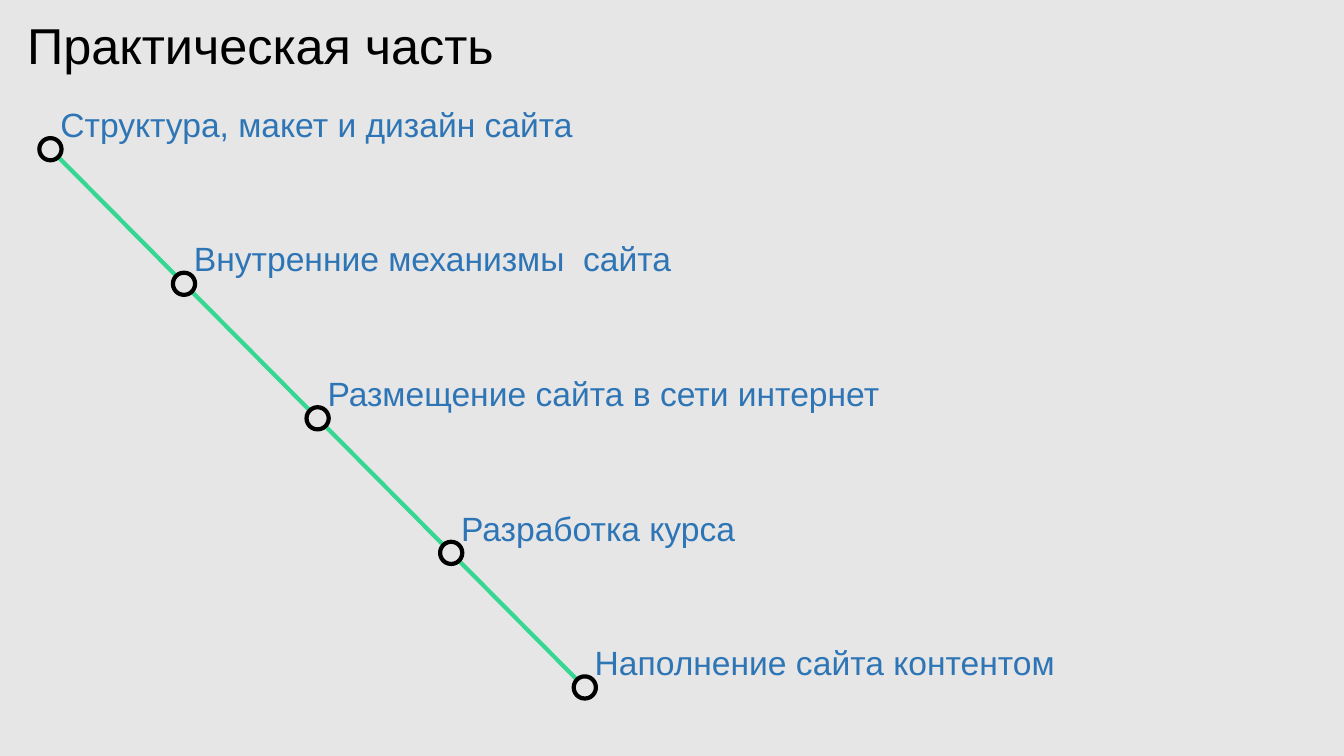
from dataclasses import dataclass

from lxml import etree
from pptx import Presentation
from pptx.dml.color import RGBColor
from pptx.enum import shapes, text
from pptx.oxml import ns
from pptx.util import Inches, Pt


@dataclass(frozen=True)
class Theme:
    background: RGBColor = RGBColor(0xE7, 0xE6, 0xE6)
    ink: RGBColor = RGBColor(0, 0, 0)
    label: RGBColor = RGBColor(0x2E, 0x75, 0xB6)
    path_line: RGBColor = RGBColor(0x36, 0xD7, 0x92)
    font: str = "Arial"
    title_size: int = 36
    label_size: int = 24
    stroke: int = 3


THEME = Theme()
STAGES = [
    ("Структура, макет и дизайн сайта", 7.32),
    ("Внутренние механизмы  сайта", 6),
    ("Размещение сайта в сети интернет", 6.28),
    ("Разработка курса", 5.98),
    ("Наполнение сайта контентом", 5.7),
]
MARKER = 0.22
LINE_INSET = 0.19
LINE_END = 0.03
LABEL_RISE = 0.39


def set_format(target, values):
    for attribute, value in values.items():
        setattr(target, attribute, value)


def add_text(slide, box, wording, size, color):
    caption = slide.shapes.add_textbox(*map(Inches, box))
    set_format(caption.text_frame, {
        "word_wrap": True,
        "auto_size": text.MSO_AUTO_SIZE.SHAPE_TO_FIT_TEXT,
    })
    run = caption.text_frame.paragraphs[0].add_run()
    run.text = wording
    set_format(run.font, {"name": THEME.font, "size": Pt(size)})
    run.font.color.rgb = color


def add_path(slide, left, top, right, bottom):
    ends = (left + LINE_INSET, top + LINE_INSET,
            right - MARKER + LINE_END, bottom - MARKER + LINE_END)
    path_line = slide.shapes.add_connector(
        shapes.MSO_CONNECTOR.STRAIGHT, *map(Inches, ends))
    path_line.line.color.rgb = THEME.path_line
    path_line.line.width = Pt(THEME.stroke)
    etree.SubElement(path_line._element.spPr, ns.qn("a:effectLst"))


def add_marker(slide, left, top):
    marker = slide.shapes.add_shape(
        shapes.MSO_SHAPE.OVAL, *map(Inches, (left, top, MARKER, MARKER)))
    set_format(marker, {"rotation": 270})
    marker.shadow.inherit = False
    marker.fill.solid()
    marker.fill.fore_color.rgb = THEME.background
    marker.line.color.rgb = THEME.ink
    marker.line.width = Pt(THEME.stroke)


def add_roadmap(slide, box):
    left, top, width, height = box
    add_path(slide, left, top, left + width, top + height)
    step_x = (width - MARKER) / (len(STAGES) - 1)
    step_y = (height - MARKER) / (len(STAGES) - 1)
    for index, (wording, label_width) in enumerate(STAGES):
        x, y = left + index * step_x, top + index * step_y
        add_marker(slide, x, y)
        label_box = (x + MARKER / 2, y - LABEL_RISE, label_width, 0.5)
        add_text(slide, label_box, wording, THEME.label_size, THEME.label)


def main():
    deck = Presentation()
    set_format(deck, {"slide_width": Inches(13.33), "slide_height": Inches(7.5)})
    slide = deck.slides.add_slide(deck.slide_layouts[6])
    slide.background.fill.solid()
    slide.background.fill.fore_color.rgb = THEME.background
    add_text(slide, (0.17, 0.09, 5.95, 0.71), "Практическая часть",
             THEME.title_size, THEME.ink)
    add_roadmap(slide, (0.39, 1.37, 5.52, 5.56))
    deck.save("out.pptx")


if __name__ == "__main__":
    main()
